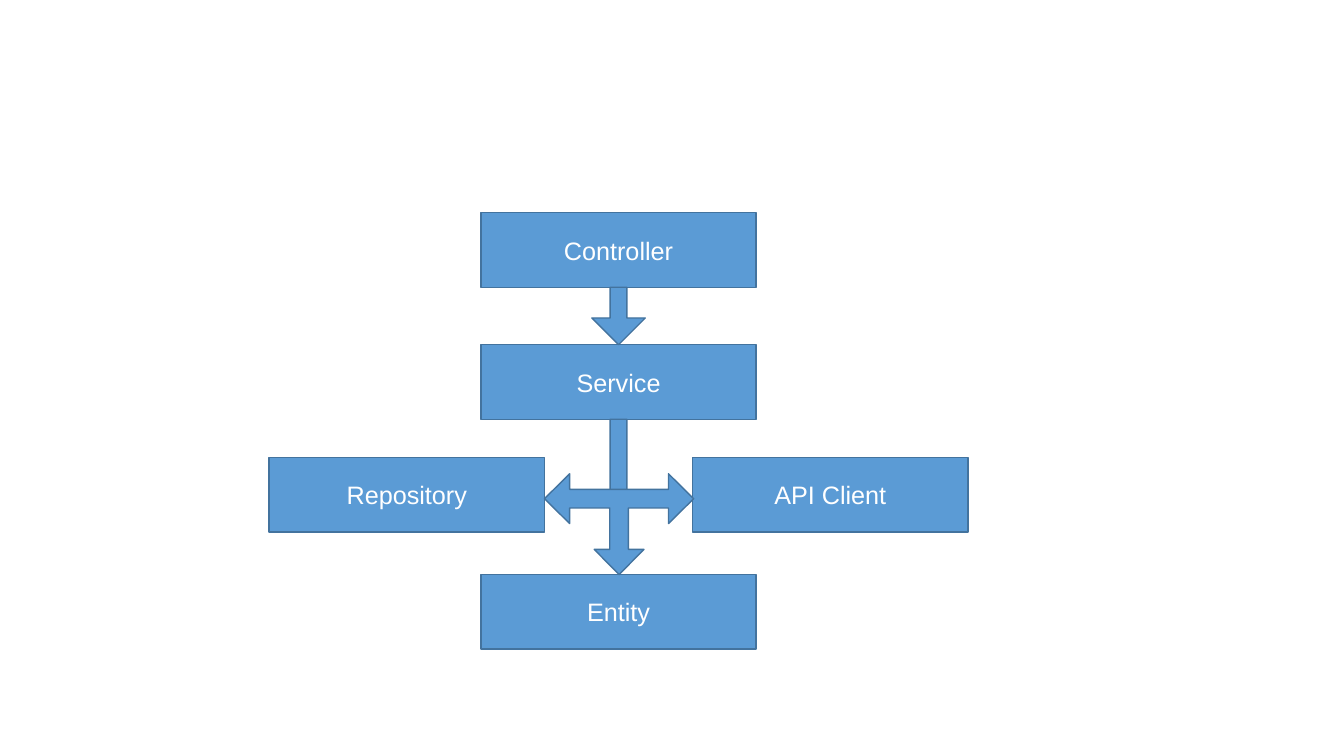
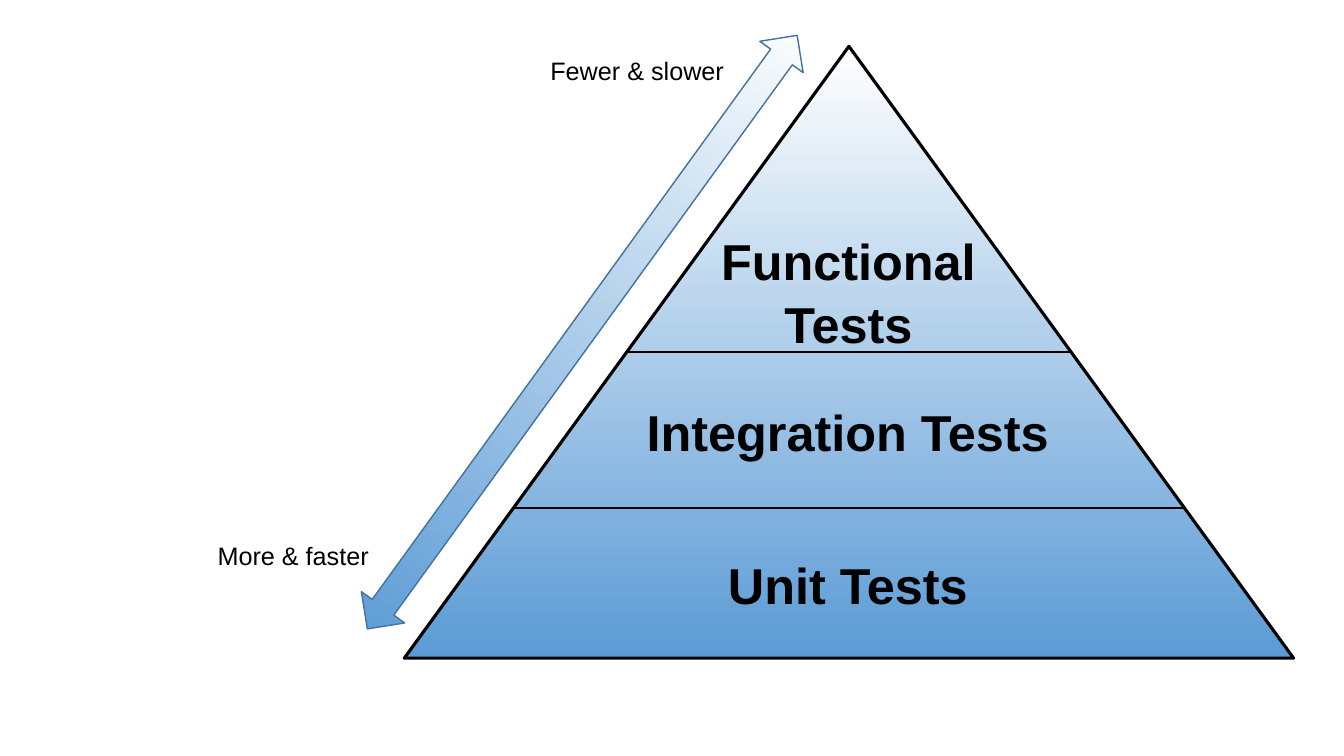
"""Build two slides: application layers and the test pyramid."""
from dataclasses import dataclass

from lxml import etree
from pptx import Presentation
from pptx import util as u
from pptx.dml.color import RGBColor
from pptx.enum import shapes, text
from pptx.oxml.ns import qn

BLUE, BLUE_EDGE, WHITE, BLACK = "5B9BD5", "43739E", "FFFFFF", "000000"
FONT = "Arial"
BODY_SIZE, TIER_SIZE = 18, 36
LINE_SPACING = 1.05
CENTER, LEFT = text.PP_ALIGN.CENTER, text.PP_ALIGN.LEFT
SHAPE = shapes.MSO_SHAPE


@dataclass(frozen=True)
class Frame:
    """Position and size in inches."""
    left: float
    top: float
    width: float
    height: float

    def lengths(self) -> tuple:
        """Return the four values as lengths."""
        return tuple(map(u.Inches, (self.left, self.top, self.width, self.height)))


@dataclass(frozen=True)
class Figure:
    """A preset shape with its look."""
    kind: SHAPE
    frame: Frame
    adjustments: tuple = ()
    rotation: float = 0
    gradient: bool = False
    edge: str = BLUE_EDGE
    edge_width: float = 1


@dataclass(frozen=True)
class Label:
    """A free-standing text."""
    lines: tuple
    frame: Frame
    size: int = BODY_SIZE
    bold: bool = False
    align: text.PP_ALIGN = LEFT


BOX_WIDTH, BOX_HEIGHT = 2.73, 0.74
COLUMNS = [2.67 + 2.1 * index for index in range(3)]
LAYERS = (
    ("Controller", COLUMNS[1], 2.11),
    ("Service", COLUMNS[1], 3.42),
    ("API Client", COLUMNS[2], 4.54),
    ("Repository", COLUMNS[0], 4.54),
    ("Entity", COLUMNS[1], 5.7),
)
FLOW_ARROWS = (
    Figure(SHAPE.DOWN_ARROW, Frame(5.87, 2.85, 0.53, 0.57), (0.314, 0.5)),
    Figure(SHAPE.DOWN_ARROW, Frame(5.87, 4.16, 0.53, 0.97), (0.314, 0.5)),
    Figure(SHAPE.LEFT_RIGHT_UP_ARROW, Frame(5.4, 4.7, 1.48, 1),
           (0.184, 0.247, 0.25), rotation=180),
)

PYRAMID = Frame(4.01, 0.46, 8.82, 6.07)
TIER_EDGES = (3.49, 5.04)
TIER_LABELS = (
    Label(("Functional", "Tests"), Frame(6.87, 2.2, 3.09, 1.44), TIER_SIZE, True, CENTER),
    Label(("Integration Tests",), Frame(6.24, 3.9, 4.34, 0.7), TIER_SIZE, True, CENTER),
    Label(("Unit Tests",), Frame(6.78, 5.42, 3.26, 0.7), TIER_SIZE, True, CENTER),
)
SCALE_ARROW = Figure(SHAPE.UP_DOWN_ARROW, Frame(5.51, -0.34, 0.53, 7.27),
                     (0.5, 0.5), rotation=35.9, gradient=True)
SCALE_LABELS = (
    Label(("Fewer & slower",), Frame(5.36, 0.48, 1.95, 0.48)),
    Label(("More & faster",), Frame(2.06, 5.3, 1.74, 0.48)),
)


def color(value: str) -> RGBColor:
    """Turn a hex string into a colour."""
    return RGBColor.from_string(value)


def write(box, lines: tuple, size: int, shade: str, align, bold: bool = False,
          spacing: float = 1) -> None:
    """Write one paragraph per line into a shape."""
    box.text_frame.word_wrap = True
    box.text_frame.text = "\n".join(lines)
    for para in box.text_frame.paragraphs:
        para.alignment = align
        para.line_spacing = spacing
        span = para.runs[0]
        span.font.color.rgb = color(shade)
        for name, value in {"name": FONT, "size": u.Pt(size), "bold": bold}.items():
            setattr(span.font, name, value)


def add_figure(page, figure: Figure):
    """Draw a preset shape."""
    shape = page.shapes.add_shape(figure.kind, *figure.frame.lengths())
    shape.shadow.inherit = False
    shape.rotation = figure.rotation
    for index, value in enumerate(figure.adjustments):
        shape.adjustments[index] = value
    if figure.gradient:
        shape.fill.gradient()
        shape.fill.gradient_angle = 90
        for stop, shade in zip(shape.fill.gradient_stops, (BLUE, WHITE)):
            stop.color.rgb = color(shade)
    else:
        shape.fill.solid()
        shape.fill.fore_color.rgb = color(BLUE)
    shape.line.color.rgb = color(figure.edge)
    shape.line.width = u.Pt(figure.edge_width)
    return shape


def add_label(page, label: Label) -> None:
    """Draw a text box."""
    box = page.shapes.add_textbox(*label.frame.lengths())
    write(box, label.lines, label.size, BLACK, label.align, label.bold, LINE_SPACING)


def add_divider(page, top: float) -> None:
    """Draw a level line from side to side of the pyramid."""
    center = PYRAMID.left + PYRAMID.width / 2
    half = PYRAMID.width / 2 * (top - PYRAMID.top) / PYRAMID.height
    line = page.shapes.add_connector(
        shapes.MSO_CONNECTOR.STRAIGHT,
        *map(u.Inches, (center - half, top, center + half, top)))
    line.line.color.rgb = color(BLACK)
    line.line.width = u.Pt(1.5)
    etree.SubElement(line.element.spPr, qn("a:effectLst"))


def draw_layers(page) -> None:
    """Draw the application layers and the calls between them."""
    for name, left, top in LAYERS:
        frame = Frame(left, top, BOX_WIDTH, BOX_HEIGHT)
        box = add_figure(page, Figure(SHAPE.RECTANGLE, frame))
        box.text_frame.vertical_anchor = text.MSO_ANCHOR.MIDDLE
        write(box, (name,), BODY_SIZE, WHITE, CENTER)
    for arrow in FLOW_ARROWS:
        add_figure(page, arrow)


def draw_pyramid(page) -> None:
    """Draw the test pyramid and its scale."""
    add_figure(page, Figure(SHAPE.ISOSCELES_TRIANGLE, PYRAMID, (0.5,),
                            gradient=True, edge=BLACK, edge_width=2.25))
    for label in TIER_LABELS:
        add_label(page, label)
    for top in TIER_EDGES:
        add_divider(page, top)
    add_figure(page, SCALE_ARROW)
    for label in SCALE_LABELS:
        add_label(page, label)


def main() -> None:
    """Build and save the deck."""
    deck = Presentation()
    deck.slide_width, deck.slide_height = u.Inches(13.33), u.Inches(7.5)
    blank = deck.slide_layouts.get_by_name("Blank")
    for draw in (draw_layers, draw_pyramid):
        draw(deck.slides.add_slide(blank))
    deck.save("out.pptx")


if __name__ == "__main__":
    main()
